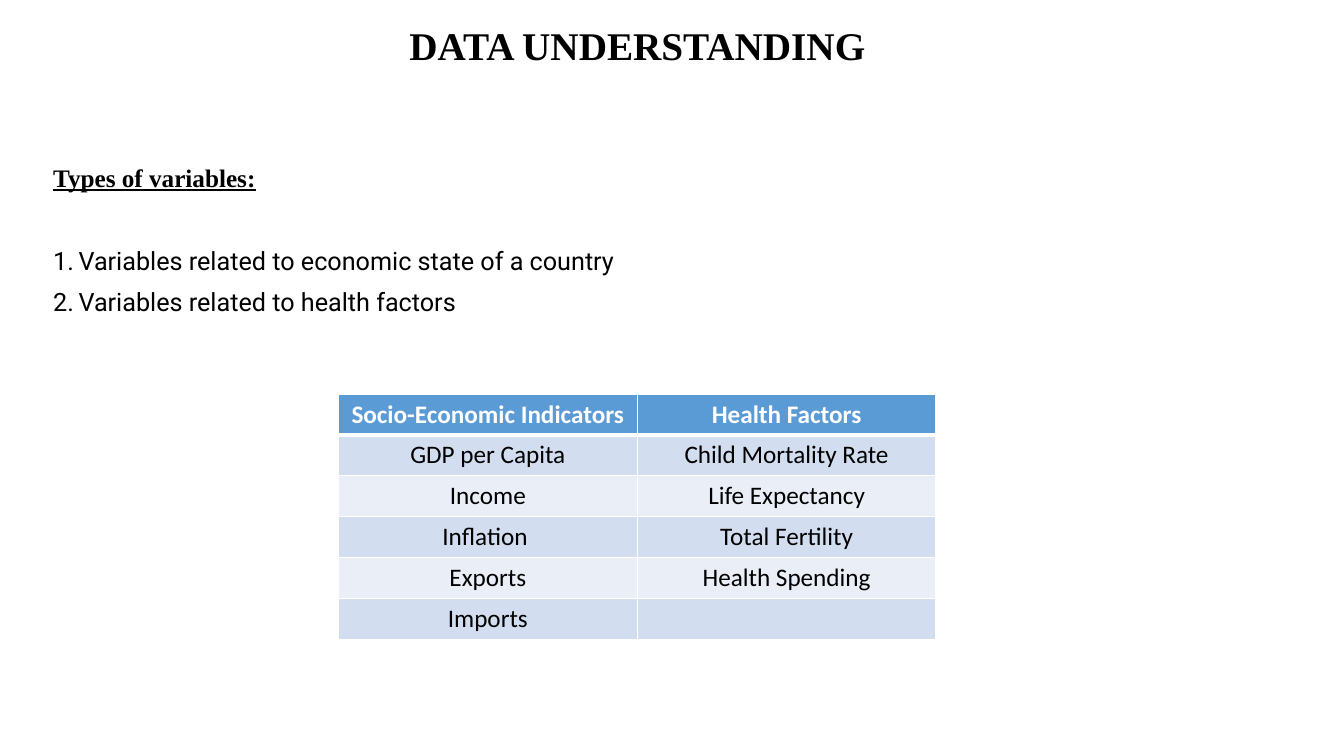
"""Build the data understanding slide with its table of variable types."""
from dataclasses import dataclass

from lxml import etree
from pptx import Presentation
from pptx.dml.color import RGBColor
from pptx.enum.text import MSO_ANCHOR, MSO_AUTO_SIZE, PP_ALIGN
from pptx.oxml.ns import qn
from pptx.util import Cm, Pt

CENTER, LEFT = PP_ALIGN.CENTER, PP_ALIGN.LEFT
MIDDLE = MSO_ANCHOR.MIDDLE
NO_AUTOFIT = MSO_AUTO_SIZE.NONE
TITLE_ONLY = 5

COLORS = {
    "black": "000000",
    "white": "FFFFFF",
    "header": "5B9BD5",
    "band_dark": "D2DEEF",
    "band_light": "EAEFF7",
}


@dataclass(frozen=True)
class TextStyle:
    font: str
    size: int = 18
    color: str = "black"
    bold: bool = False
    underline: bool = False


@dataclass(frozen=True)
class Line:
    text: str
    style: TextStyle
    before: int = 10
    numbered: bool = False


@dataclass(frozen=True)
class RowStyle:
    text: TextStyle
    fill: str
    top: int = 1
    bottom: int = 1


TITLE = TextStyle("Times New Roman", 28, bold=True)
HEADING = TextStyle("Times New Roman", bold=True, underline=True)
ITEM = TextStyle("Roboto")
CELL = TextStyle("Calibri")
HEADER = RowStyle(TextStyle("Calibri", color="white", bold=True), "header", bottom=3)

LINES = [
    Line("Types of variables:", HEADING),
    Line("Variables related to economic state of a country", ITEM, 40, True),
    Line("Variables related to health factors", ITEM, numbered=True),
]

INDICATORS = [
    ("Socio-Economic Indicators", "Health Factors"),
    ("GDP per Capita", "Child Mortality Rate"),
    ("Income", "Life Expectancy"),
    ("Inflation ", "Total Fertility"),
    ("Exports", "Health Spending"),
    ("Imports", ""),
]


def write(p, text: str, style: TextStyle, align=LEFT) -> None:
    """Fill a paragraph and format its runs."""
    p.text = text
    p.alignment = align
    for r in p.runs:
        r.font.name = style.font
        r.font.size = Pt(style.size)
        r.font.bold = style.bold
        r.font.underline = style.underline
        r.font.color.rgb = RGBColor.from_string(COLORS[style.color])


def number(p) -> None:
    """Give a paragraph an automatic number and a hanging indent."""
    pPr = p._p.get_or_add_pPr()
    pPr.set("marL", str(Cm(0.64)))
    pPr.set("indent", str(-Cm(0.64)))
    etree.SubElement(pPr, qn("a:buAutoNum"), type="arabicPeriod")


def add_title(s, text: str) -> None:
    """Place and format the title placeholder."""
    sp = s.shapes.title
    sp.left, sp.top, sp.width, sp.height = Cm(3.12), Cm(0), Cm(25.88), Cm(2.39)
    tf = sp.text_frame
    tf.auto_size = NO_AUTOFIT
    tf.vertical_anchor = MIDDLE
    write(tf.paragraphs[0], text, TITLE, CENTER)
    tf.paragraphs[0].line_spacing = 0.9


def add_lines(s, lines: list[Line]) -> None:
    """Add the heading and the numbered variable types."""
    sp = s.shapes.add_textbox(Cm(1.09), Cm(4.04), Cm(31.01), Cm(5))
    tf = sp.text_frame
    tf.word_wrap = True
    for i, line in enumerate(lines):
        p = tf.add_paragraph() if i else tf.paragraphs[0]
        write(p, line.text, line.style)
        p.line_spacing = 0.9
        p.space_before = Pt(line.before)
        if line.numbered:
            number(p)


def set_borders(cell, top: int, bottom: int) -> None:
    """Draw white borders around a cell."""
    tcPr = cell._tc.get_or_add_tcPr()
    widths = {"a:lnL": 1, "a:lnR": 1, "a:lnT": top, "a:lnB": bottom}
    for i, (tag, width) in enumerate(widths.items()):
        ln = etree.Element(qn(tag), w=str(Pt(width)))
        fill = etree.SubElement(ln, qn("a:solidFill"))
        etree.SubElement(fill, qn("a:srgbClr"), val=COLORS["white"])
        tcPr.insert(i, ln)


def row_style(row: int) -> RowStyle:
    """Return the header style or the banded style of a body row."""
    if row == 0:
        return HEADER
    fill = "band_dark" if row % 2 else "band_light"
    return RowStyle(CELL, fill, top=3 if row == 1 else 1)


def add_indicators(s, rows: list[tuple[str, str]]) -> None:
    """Add the table of indicators."""
    n_rows, n_cols = len(rows), len(rows[0])
    table = s.shapes.add_table(n_rows, n_cols, Cm(8.53), Cm(9.93),
                               Cm(7.53) * n_cols, Cm(1.03) * n_rows).table
    for i, row in enumerate(rows):
        style = row_style(i)
        for j, text in enumerate(row):
            cell = table.cell(i, j)
            cell.fill.solid()
            cell.fill.fore_color.rgb = RGBColor.from_string(COLORS[style.fill])
            set_borders(cell, style.top, style.bottom)
            write(cell.text_frame.paragraphs[0], text, style.text, CENTER)


def main() -> None:
    """Build and save the presentation."""
    prs = Presentation()
    prs.slide_width, prs.slide_height = Cm(33.87), Cm(19.05)
    s = prs.slides.add_slide(prs.slide_layouts[TITLE_ONLY])
    add_title(s, "DATA UNDERSTANDING")
    add_lines(s, LINES)
    add_indicators(s, INDICATORS)
    prs.save("out.pptx")


main()
